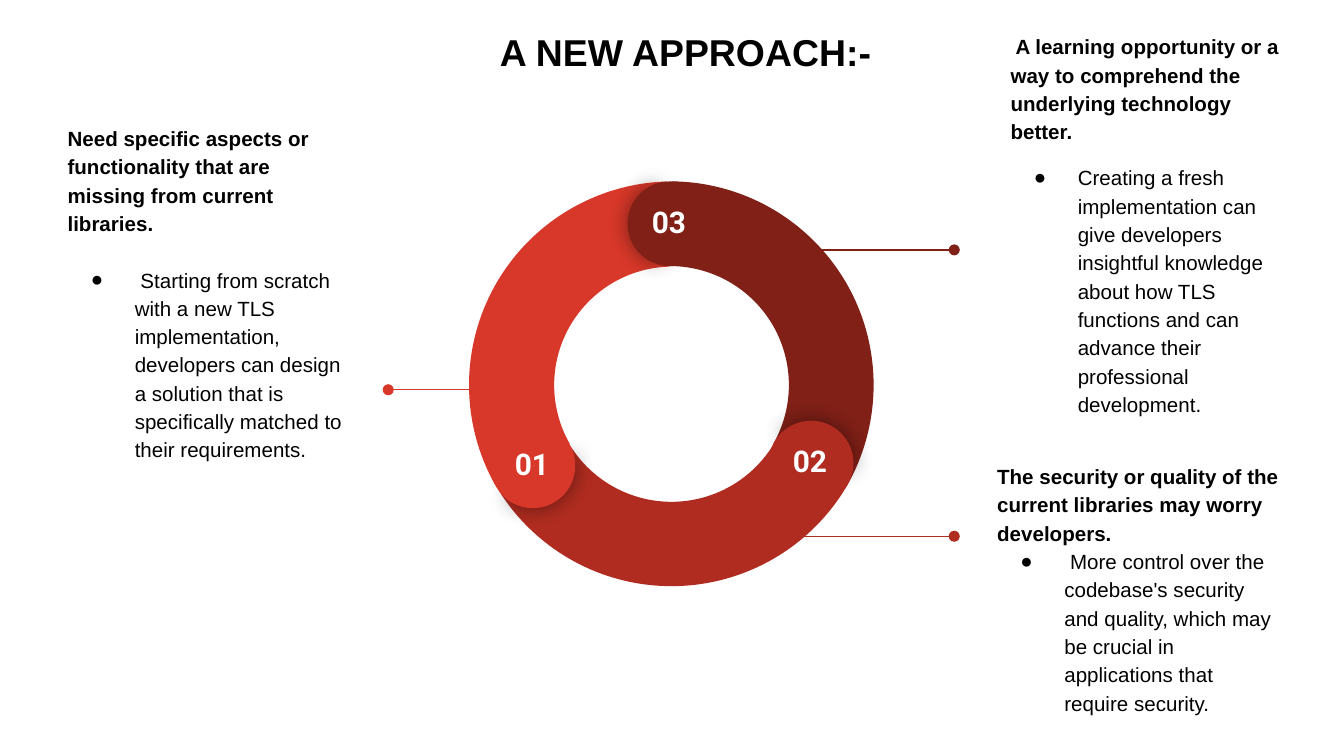
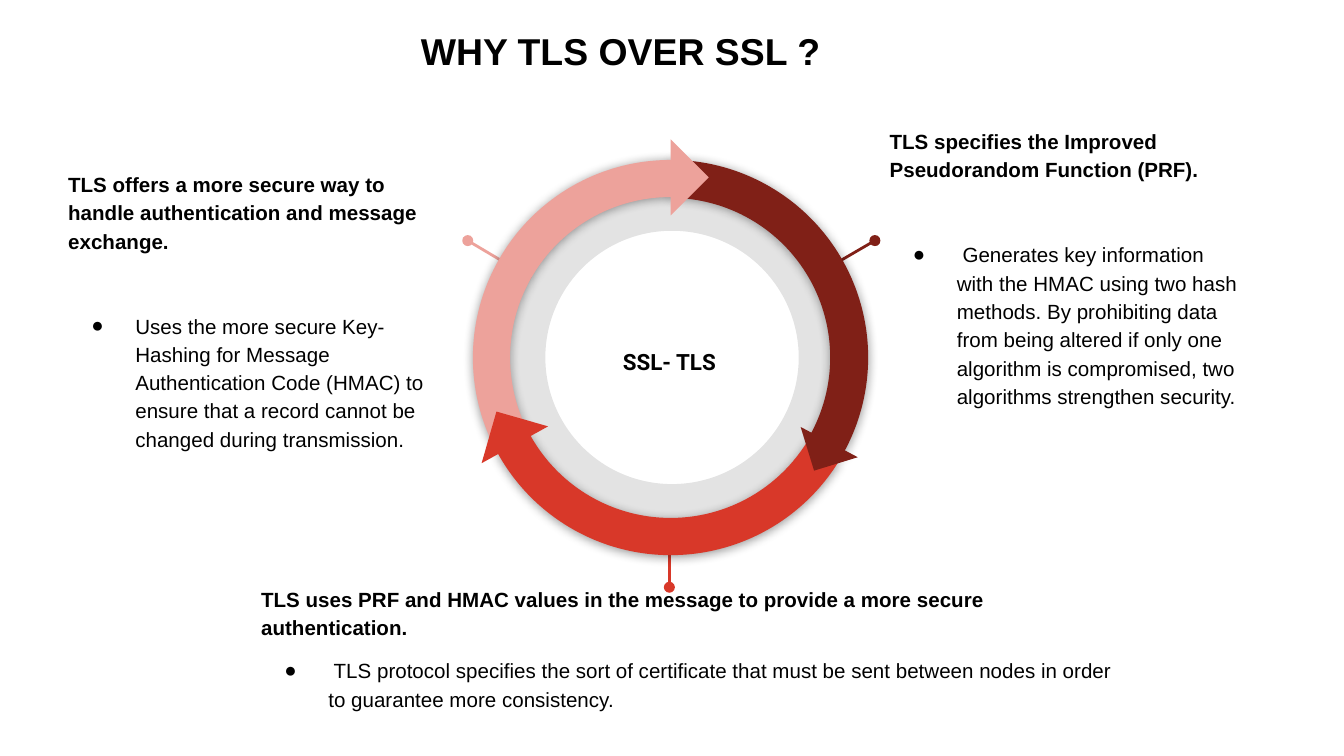
from lxml import etree
from pptx import Presentation
from pptx.dml.color import RGBColor
from pptx.enum.shapes import MSO_CONNECTOR, MSO_SHAPE
from pptx.enum.text import MSO_ANCHOR, MSO_AUTO_SIZE, PP_ALIGN
from pptx.oxml.ns import qn
from pptx.util import Pt

STRAIGHT = MSO_CONNECTOR.STRAIGHT
ARC, PIE = MSO_SHAPE.BLOCK_ARC, MSO_SHAPE.PIE
DONUT, TRIANGLE = MSO_SHAPE.DONUT, MSO_SHAPE.RIGHT_TRIANGLE
TOP, MIDDLE = MSO_ANCHOR.TOP, MSO_ANCHOR.MIDDLE
LEFT, CENTER = PP_ALIGN.LEFT, PP_ALIGN.CENTER
NO_FIT = MSO_AUTO_SIZE.NONE

COLORS = {
    "black": "000000",
    "white": "FFFFFF",
    "red": "D83829",
    "brick": "B02C20",
    "maroon": "802017",
    "pink": "EDA29B",
}
BODY_FONT, LABEL_FONT = "Arial", "Roboto"
INSET = 7.2
CAP_SHADOW = dict(blur=11.2, distance=0, alpha=43)
ARROW_SHADOW = dict(blur=5.6, distance=0.8, alpha=40)

APPROACH = {
    "title": ("A NEW APPROACH:-", (260.6, 8.6, 430, 62)),
    "points": [
        ("Need specific aspects or functionality that are missing from current libraries.",
         " Starting from scratch with a new TLS implementation, developers can design a "
         "solution that is specifically matched to their requirements.",
         (29, 58.3, 167, 205), 15.2),
        (" A learning opportunity or a way to comprehend the underlying technology better.",
         "Creating a fresh implementation can give developers insightful knowledge about "
         "how TLS functions and can advance their professional development.",
         (534.2, 9.3, 167, 215), 9.5),
        ("The security or quality of the current libraries may worry developers.",
         " More control over the codebase's security and quality, which may be crucial in "
         "applications that require security.",
         (527, 239.5, 167, 161), 0),
    ],
    "leaders": [
        ("red", (208, 208.8), (257.8, 208.8)),
        ("maroon", (511.2, 133.9), (410.4, 133.9)),
        ("brick", (511.2, 287.3), (410.4, 287.3)),
    ],
}
RING_SIZE, CAP_SIZE = 218.2, 45.4
RING = [
    ("maroon", (249.8, 97.2), 60, (126.225, 197.816, 0.208)),
    ("brick", (250.6, 95.8), 180, (126.225, 196.628, 0.207)),
    ("red", (251.3, 97.2), 300, (126.225, 197.033, 0.209)),
]
CAPS = [
    ("01", "red", (262.8, 226.8), 240),
    ("03", "maroon", (336.2, 97.2), 0),
    ("02", "brick", (411.8, 225.4), 120),
]

COMPARISON = {
    "title": ("WHY TLS OVER SSL ?", (218.2, 8, 318, 39)),
    "points": [
        ("TLS offers a more secure way to handle authentication and message exchange.",
         "Uses the more secure Key-Hashing for Message Authentication Code (HMAC) to "
         "ensure that a record cannot be changed during transmission.",
         (29.3, 83, 221, 147), 30.3),
        ("TLS specifies the Improved Pseudorandom Function (PRF).",
         " Generates key information with the HMAC using two hash methods. By prohibiting "
         "data from being altered if only one algorithm is compromised, two algorithms "
         "strengthen security.",
         (469.4, 60, 204.5, 222), 30.3),
        ("TLS uses PRF and HMAC values in the message to provide a more secure authentication.",
         " TLS protocol specifies the sort of certificate that must be sent between nodes "
         "in order to guarantee more consistency.",
         (132.7, 305.3, 474.5, 96.5), 7.9),
    ],
    "leaders": [
        ("pink", (250.6, 128.9), (284.4, 149)),
        ("maroon", (468.7, 128.9), (434.2, 149)),
        ("red", (358.6, 314.6), (358.6, 278.6)),
    ],
}
CYCLE_BOX = (253.4, 85.7, 211.7, 211.7)
CYCLE_ARROWS = {
    "maroon": (30, False, (144.144, 0.007, 0.096)),
    "pink": (330, True, (143.486, 214.729, 0.094)),
    "red": (210, True, (143.162, 215.027, 0.094)),
}
ARROW_TIPS = {
    "pink": ((344.9, 80.6), 28.8, 225),
    "maroon": ((432, 224.6), 24.5, 342.9),
    "red": ((261.4, 223.9), 28.8, 106),
}


def rgb(color):
    return RGBColor.from_string(COLORS[color])


def child(parent, tag, **attributes):
    return etree.SubElement(parent, qn(tag), {k: str(v) for k, v in attributes.items()})


def place(shape, box):
    shape.left, shape.top, shape.width, shape.height = map(Pt, box)


def prepare_frame(shape, anchor):
    frame = shape.text_frame
    frame.word_wrap = True
    frame.auto_size = NO_FIT
    frame.vertical_anchor = anchor
    frame.margin_left = frame.margin_right = Pt(INSET)
    frame.margin_top = frame.margin_bottom = Pt(INSET)
    return frame


def write(paragraph, text, size, color="black", bold=True, font=BODY_FONT, align=LEFT):
    paragraph.text = text
    paragraph.alignment = align
    paragraph.font.name = font
    paragraph.font.size = Pt(size)
    paragraph.font.bold = bold
    paragraph.font.color.rgb = rgb(color)


def set_bullet(paragraph, bulleted):
    paragraph.line_spacing = 1.15
    properties = paragraph._p.get_or_add_pPr()
    properties.set("marL", str(Pt(36 if bulleted else 0)))
    properties.set("indent", str(Pt(-23.5 if bulleted else 0)))
    if bulleted:
        child(child(properties, "a:buClr"), "a:srgbClr", val=COLORS["black"])
        child(properties, "a:buFont", typeface=BODY_FONT)
        child(properties, "a:buChar", char="●")
    else:
        child(properties, "a:buNone")


def add_point(placeholder, heading, detail, box, gap):
    place(placeholder, box)
    frame = prepare_frame(placeholder, TOP)
    rows = [(frame.paragraphs[0], heading, False, 0), (frame.add_paragraph(), detail, True, gap)]
    for paragraph, text, bulleted, space in rows:
        paragraph.space_before = Pt(space)
        paragraph.space_after = Pt(0)
        set_bullet(paragraph, bulleted)
        write(paragraph, text, 11, bold=not bulleted)


def add_label(slide, text, box, size, color, anchor=TOP):
    label = slide.shapes.add_textbox(*map(Pt, box))
    paragraph = prepare_frame(label, anchor).paragraphs[0]
    write(paragraph, text, size, color, font=LABEL_FONT, align=CENTER)


def add_leader(slide, color, dot, end, width):
    leader = slide.shapes.add_connector(STRAIGHT, *map(Pt, dot + end))
    leader.line.color.rgb = rgb(color)
    leader.line.width = Pt(width)
    child(leader.line._get_or_add_ln(), "a:headEnd", type="oval")
    child(leader._element.spPr, "a:effectLst")


def add_part(slide, kind, box, color, rotation=0, adjustments=(), flipped=False, shadow=None):
    part = slide.shapes.add_shape(kind, *map(Pt, box))
    part.rotation = rotation
    for i, value in enumerate(adjustments):
        part.adjustments[i] = value
    part.fill.solid()
    part.fill.fore_color.rgb = rgb(color)
    part.line.fill.background()
    part.shadow.inherit = False
    properties = part._element.spPr
    if flipped:
        properties.find(qn("a:xfrm")).set("flipH", "1")
    if shadow:
        outer = child(properties.find(qn("a:effectLst")), "a:outerShdw",
                      blurRad=Pt(shadow["blur"]), dist=Pt(shadow["distance"]),
                      dir=5400000, algn="ctr", rotWithShape=0)
        shade = child(outer, "a:srgbClr", val=COLORS["black"])
        child(shade, "a:alpha", val=shadow["alpha"] * 1000)
    return part


def start_slide(deck, content, leader_width):
    slide = deck.slides.add_slide(deck.slide_layouts[4])
    text, box = content["title"]
    title = slide.shapes.title
    place(title, box)
    write(prepare_frame(title, TOP).paragraphs[0], text, 20)
    for number, point in enumerate(content["points"], 1):
        add_point(slide.placeholders[number], *point)
    spare = slide.placeholders[4]._element
    spare.getparent().remove(spare)
    for leader in content["leaders"]:
        add_leader(slide, *leader, leader_width)
    return slide


deck = Presentation()
deck.slide_width, deck.slide_height = Pt(720), Pt(405)

approach = start_slide(deck, APPROACH, 0.75)
for color, corner, rotation, adjustments in RING:
    add_part(approach, ARC, (*corner, RING_SIZE, RING_SIZE), color, rotation, adjustments)
for number, color, corner, rotation in CAPS:
    cap_box = (*corner, CAP_SIZE, CAP_SIZE)
    add_part(approach, PIE, cap_box, color, rotation + 0.65, (61.904, 149.962), shadow=CAP_SHADOW)
    add_part(approach, PIE, cap_box, color, (rotation + 180) % 360, (40.283, 171.837))
for number, color, (x, y), rotation in CAPS:
    add_label(approach, number, (x + 2, y + 4.5, 40.3, 20.9), 16, "white")

comparison = start_slide(deck, COMPARISON, 1.5)
halo = add_part(comparison, DONUT, (259.9, 91.4, 200.2, 200.2), "black", adjustments=(0.161,))
halo_color = halo._element.spPr.find(qn("a:solidFill")).find(qn("a:srgbClr"))
child(halo_color, "a:alpha", val=11000)
add_label(comparison, "SSL- TLS", (301.7, 162, 113.8, 63.4), 12, "black", MIDDLE)


def add_arrow_body(color):
    rotation, flipped, adjustments = CYCLE_ARROWS[color]
    add_part(comparison, ARC, CYCLE_BOX, color, rotation, adjustments, flipped, ARROW_SHADOW)


def add_arrow_tip(color):
    corner, size, rotation = ARROW_TIPS[color]
    add_part(comparison, TRIANGLE, (*corner, size, size), color, rotation)


add_arrow_body("maroon")
add_arrow_body("pink")
add_arrow_tip("pink")
add_arrow_body("red")
add_arrow_tip("maroon")
add_arrow_tip("red")

deck.save("out.pptx")
